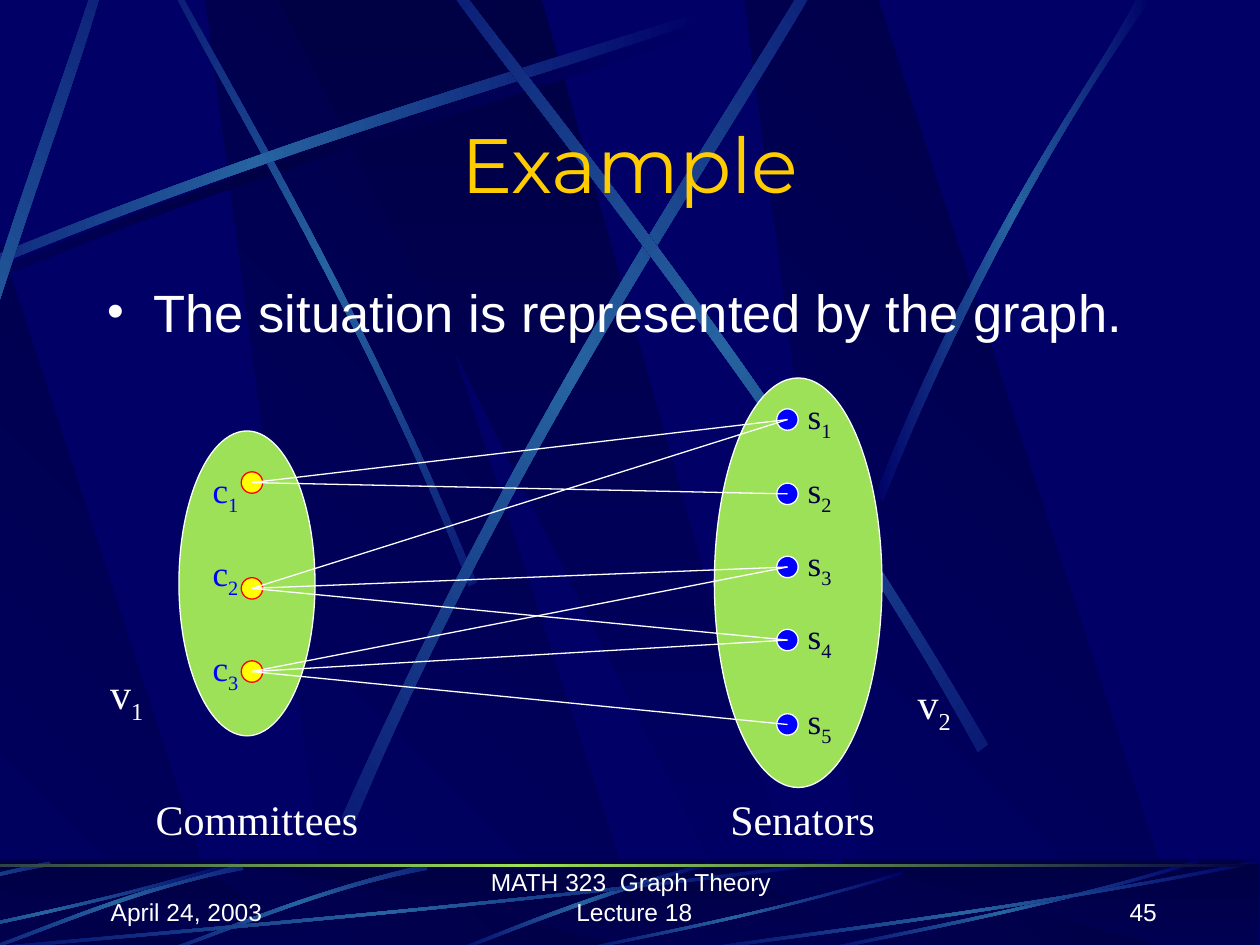
from math import cos, radians, sin

from pptx import Presentation
from pptx.dml.color import RGBColor as RGB
from pptx.enum.shapes import MSO_CONNECTOR as LINE, MSO_SHAPE as GEOM
from pptx.enum.text import MSO_ANCHOR as ANC, MSO_AUTO_SIZE as AUTO, PP_ALIGN as AL
from pptx.oxml import parse_xml as xml
from pptx.oxml.ns import nsdecls, qn
from pptx.util import Inches, Pt

HUES = {
    "base": "000066", "dark": "000044", "beam": "2663A0", "lime": "9CE157",
    "white": "FFFFFF", "gold": "FFCC00", "yellow": "FFFF00", "red": "FF0000",
    "blue": "0000FF",
}
GLOW = ("base", "beam", "base")
SHADE = ("base", "dark", "base")
TOP_BEAMS = [
    (SHADE, 0, (0, 0), [(-1.45, 2.75), (1.63, 1.33), (4.43, .58), (5.63, .17),
                        (5.66, .23), (4.48, .68), (1.28, 1.5), (-1.42, 2.85)]),
    (GLOW, 45, (2.54, 2.22), [(3.78, 4.62), (2.86, 2.38), (1.77, .59), (1.35, -.21),
                              (1.31, -.2), (1.7, .61), (2.96, 2.64), (3.72, 4.65)]),
    (GLOW, 0, (0, 0), [(-1.52, 2.67), (1.56, 1.25), (4.36, .5), (5.56, .09),
                       (5.59, .15), (4.42, .6), (1.21, 1.42), (-1.49, 2.77)]),
    (GLOW, 312, (-.12, 3.16), [(-1.1, 6.39), (-.56, 3.32), (.41, .95), (.74, -.13),
                               (.81, -.11), (.52, .99), (-.61, 3.68), (-1, 6.45)]),
    (GLOW, 321, (4.66, 3.11), [(2.71, 6.49), (4.15, 3.25), (5.85, .79), (6.51, -.34),
                               (6.58, -.31), (5.96, .84), (4, 3.63), (2.8, 6.56)]),
    (GLOW, 35, (5.64, 2.85), [(7.84, 5.91), (6.13, 2.97), (4.27, .75), (3.52, -.27),
                              (3.46, -.23), (4.17, .81), (6.32, 3.32), (7.76, 5.97)]),
    (GLOW, 0, (0, 0), [(6.94, 3.94), (7.82, 1.73), (8.69, .65), (9.02, -.01),
                       (9.14, -.01), (8.08, 1.45), (7.3, 3.22), (7.01, 3.98)]),
]
LOW_BEAM = [(5.64, 6.84), (4.58, 7.12), (3.89, 7.44), (3.55, 7.56),
            (3.6, 7.57), (4.03, 7.4), (4.99, 7.02), (5.65, 6.87)]
TILT = [(3.37, 6.86), (2.44, 7.07), (1.74, 7.39), (1.41, 7.5),
        (1.42, 7.52), (1.75, 7.42), (2.55, 7.05), (3.39, 6.9)]
FLAT = [(.39, 6.84), (-.54, 7.02), (-1.23, 7.32), (-1.55, 7.43),
        (-1.54, 7.45), (-1.22, 7.36), (-.43, 7), (.41, 6.87)]
SWEEP = [(1, 6.85), (.57, 7.25), (.17, 7.46), (0, 7.58),
         (0, 7.56), (.17, 7.43), (.62, 7.2), (1, 6.82)]
SPANS = [(-.52, 7.2, 1), (-1.2, 3.11, 1), (4.47, 2.7, .88), (6.4, 3.11, 1),
         (5.33, 4.67, 1)]
C_DOTS = [3.83, 4.67, 5.33]
C_TAGS = [3.67, 4.33, 5.08]
S_DOTS = [3.33, 3.92, 4.5, 5.08, 5.75]
EDGES = [(1, 1), (1, 2), (2, 1), (2, 3), (2, 4), (3, 3), (3, 4), (3, 5)]
C_X, S_X, DOT = 2, 6.25, .17


def tint(name):
    return RGB.from_string(HUES[name])


def put(obj, **vals):
    for key, val in vals.items():
        setattr(obj, key, val)


def place(shape, x, y, w, h):
    put(shape, left=Inches(x), top=Inches(y), width=Inches(w), height=Inches(h))


def paint(shape, hues, ang):
    shape.shadow.inherit = False
    shape.line.fill.background()
    shape.fill.background()
    step = 100000 // (len(hues) - 1)
    stops = "".join(
        f'<a:gs pos="{i * step}"><a:srgbClr val="{HUES[hue]}"/></a:gs>'
        for i, hue in enumerate(hues))
    prop = shape.element.spPr
    prop.replace(prop.find(qn("a:noFill")), xml(
        f'<a:gradFill {nsdecls("a")} rotWithShape="1"><a:gsLst>{stops}</a:gsLst>'
        f'<a:lin ang="{ang * 60000}" scaled="0"/></a:gradFill>'))


def outline(art, pts, hues, ang):
    pts = [(Inches(x), Inches(y)) for x, y in pts]
    pen = art.shapes.build_freeform(*pts[0], scale=1.0)
    pen.add_line_segments(pts[1:], close=True)
    shape = pen.convert_to_shape()
    paint(shape, hues, ang)
    return shape


def bend(shape):
    legs = list(shape.element.iter(qn("a:lnTo")))
    for trio in (legs[:3], legs[4:7]):
        arc = xml(f'<a:cubicBezTo {nsdecls("a")}/>')
        trio[0].addprevious(arc)
        for leg in trio:
            arc.append(leg[0])
            leg.getparent().remove(leg)


def spin(pts, mid, ang):
    c, s = cos(radians(ang)), sin(radians(ang))
    return [(mid[0] + (x - mid[0]) * c - (y - mid[1]) * s,
             mid[1] + (x - mid[0]) * s + (y - mid[1]) * c) for x, y in pts]


def beam(art, pts, turn=0, mid=(0, 0), hues=GLOW):
    shape = outline(art, spin(pts, mid, -turn), hues, 0)
    bend(shape)
    shape.rotation = turn


def panels(art, top, low):
    for x in (1.63, -1.69, 5.91):
        outline(art, [(x + 1, low), (x + 3.52, low), (x + 1.06, top), (x, top)],
                ("base", "dark"), 315)
    outline(art, [(2.21, top), (6, low), (6.43, low), (4.3, top)],
            ("dark", "base"), 90)


def band(art, y, h):
    shape = art.shapes.add_shape(GEOM.RECTANGLE, 0, 0, 0, 0)
    place(shape, -1.69, y, 11.68, h)
    return shape


def scene(art):
    panels(art, 0, 7.54)
    for hues, turn, mid, pts in TOP_BEAMS:
        beam(art, pts, turn, mid, hues)
    paint(band(art, 6.82, .75), ("dark", "base"), 90)
    panels(art, 6.91, 7.57)
    veil = band(art, 6.82, .75)
    veil.shadow.inherit = False
    veil.line.fill.background()
    veil.fill.solid()
    veil.fill.fore_color.rgb = tint("dark")
    veil.element.spPr.find(qn("a:solidFill"))[0].append(
        xml(f'<a:alpha {nsdecls("a")} val="50000"/>'))
    beam(art, LOW_BEAM)
    for shift in (0, -1.46):
        beam(art, [(x + shift, y) for x, y in TILT], 315, (2.4 + shift, 7.2))
    beam(art, FLAT, 315, (-.57, 7.15))
    for left, wide, tall in SPANS:
        beam(art, [(left + x * wide, 7.58 - (7.58 - y) * tall) for x, y in SWEEP])
    paint(band(art, 6.86, .02), ("dark", "lime", "dark"), 0)


def write(shape, text, size, hue, face, align=AL.LEFT, anchor=ANC.TOP, sub=""):
    frame = shape.text_frame
    put(frame, word_wrap=True, auto_size=AUTO.NONE, vertical_anchor=anchor)
    para = frame.paragraphs[0]
    put(para, alignment=align, space_before=Pt(0))
    for part in filter(None, (text, sub)):
        run = para.add_run()
        run.text = part
        put(run.font, size=Pt(size), name=face)
        run.font.color.rgb = tint(hue)
    if sub:
        run.font._element.set("baseline", "-25000")
    return para


def label(slide, box, *args, **opts):
    shape = slide.shapes.add_textbox(0, 0, 0, 0)
    place(shape, *box)
    write(shape, *args, **opts)


def tag(slide, box, text, size, hue, sub=""):
    label(slide, box, text, size, hue, "Times New Roman", AL.CENTER, sub=sub)


def oval(slide, box, fill, line):
    shape = slide.shapes.add_shape(GEOM.OVAL, 0, 0, 0, 0)
    place(shape, *box)
    shape.shadow.inherit = False
    shape.fill.solid()
    shape.fill.fore_color.rgb = tint(fill)
    shape.line.color.rgb = tint(line)
    shape.line.width = Pt(.75)


def edge(slide, y1, y2):
    line = slide.shapes.add_connector(
        LINE.STRAIGHT, Inches(C_X), Inches(y1), Inches(S_X), Inches(y2))
    line.line.color.rgb = tint("white")
    line.line.width = Pt(.75)
    line.element.spPr.append(xml(f'<a:effectLst {nsdecls("a")}/>'))


def heads(slide):
    title, body = slide.placeholders
    for shape in (title, body):
        shape.element.getparent().append(shape.element)
    place(title, .75, .88, 8.5, .83)
    write(title, "Example", 44, "gold", "Montserrat", AL.CENTER, ANC.MIDDLE)
    place(body, .75, 2.17, 8.5, .67)
    para = write(body, "The situation is represented by the graph.", 30, "white", "Arial")
    prop = para._p.get_or_add_pPr()
    prop.set("marL", str(Inches(.37)))
    prop.set("indent", str(Inches(-.37)))
    for item in (f'<a:buClr {nsdecls("a")}><a:srgbClr val="{HUES["white"]}"/></a:buClr>',
                 f'<a:buSzPct {nsdecls("a")} val="91000"/>',
                 f'<a:buFont {nsdecls("a")} typeface="Arial"/>',
                 f'<a:buChar {nsdecls("a")} char="•"/>'):
        prop.append(xml(item))


def foot(slide):
    for x, wide, text, align in (
            (.78, 2.08, "April 24, 2003", AL.LEFT),
            (3.45, 3.17, "MATH 323  Graph Theory  Lecture 18", AL.CENTER),
            (7.2, 2.08, "45", AL.RIGHT)):
        label(slide, (x, 6.9, wide, .5), text, 14, "white", "Arial", align, ANC.BOTTOM)


def graph(slide):
    oval(slide, (1.42, 3.42, 1.08, 2.42), "lime", "white")
    oval(slide, (5.67, 3, 1.33, 3.25), "lime", "white")
    for x, dots, fill, line in ((C_X, C_DOTS, "yellow", "red"),
                                (S_X, S_DOTS, "blue", "white")):
        for y in dots:
            oval(slide, (x - DOT / 2, y - DOT / 2, DOT, DOT), fill, line)
    for i, y in enumerate(C_TAGS, 1):
        tag(slide, (1.5, y, .58, .48), "c", 20, "blue", str(i))
    for i, y in enumerate(S_DOTS, 1):
        tag(slide, (6.17, y - .25, .67, .48), "s", 20, "dark", str(i))
    tag(slide, (.67, 5.25, .67, .56), "v", 24, "white", "1")
    tag(slide, (7.08, 5.33, .67, .56), "v", 24, "white", "2")
    tag(slide, (1, 6.25, 2.08, .5), "Committees", 24, "white")
    tag(slide, (5.33, 6.25, 2.08, .5), "Senators", 24, "white")
    for c, s in EDGES:
        edge(slide, C_DOTS[c - 1], S_DOTS[s - 1])


def main():
    deck = Presentation()
    put(deck, slide_width=Inches(10), slide_height=Inches(7.5))
    slide = deck.slides.add_slide(deck.slide_layouts[1])
    slide.background.fill.solid()
    slide.background.fill.fore_color.rgb = tint("base")
    scene(slide.shapes.add_group_shape())
    foot(slide)
    heads(slide)
    graph(slide)
    deck.save("out.pptx")


if __name__ == "__main__":
    main()
